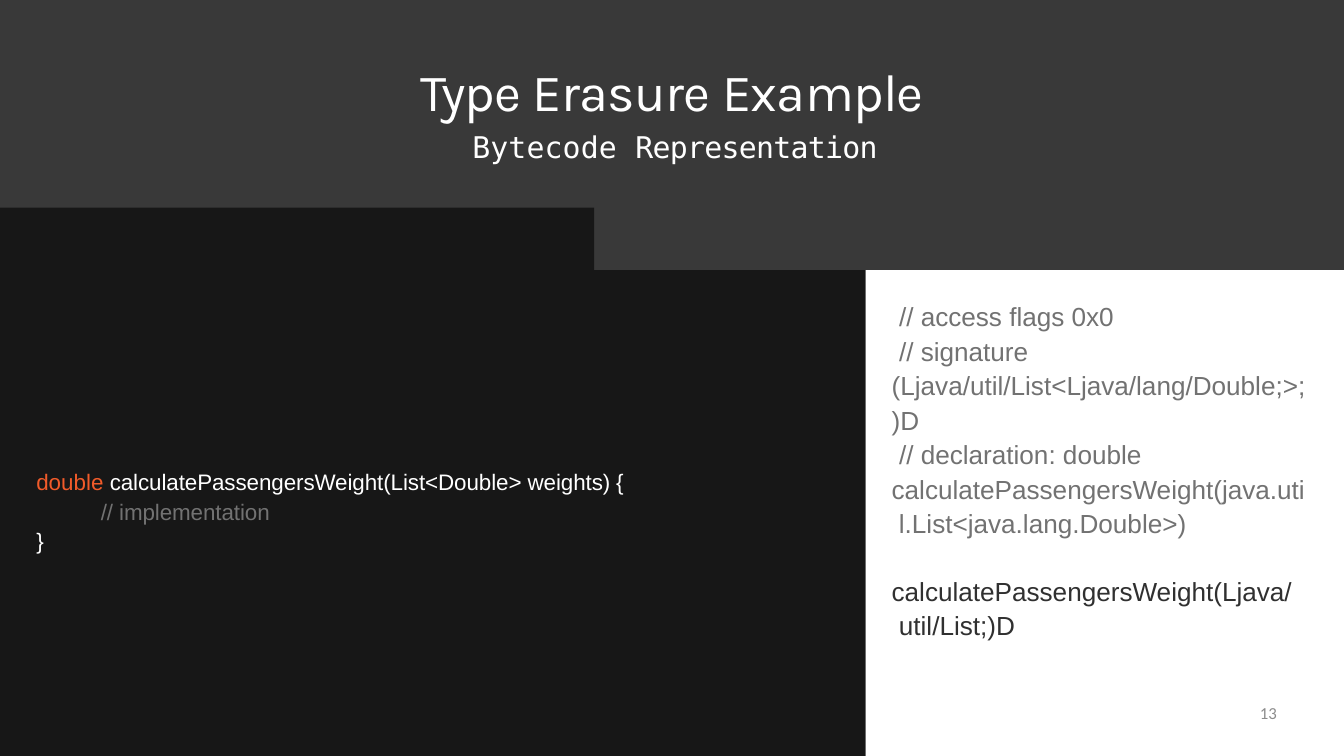
import pptx
import pptx.dml.color
import pptx.enum.shapes
import pptx.enum.text
import pptx.util

EMU_PER_PX = 9144
SLIDE_W, SLIDE_H = 2000, 1125
HEADER_H, TAB_TOP, TAB_W, SPLIT = 402, 309, 884, 1288
ALIGN = pptx.enum.text.PP_ALIGN
COLORS = {
    "header": "393939",
    "code_panel": "171717",
    "white": "FFFFFF",
    "keyword": "F15B2A",
    "comment": "727272",
    "signature": "303030",
    "page": "8C8C8C",
}


def px(length):
    """Turn whole px into EMU."""
    return pptx.util.Emu(length * EMU_PER_PX)


def color(name):
    """Look up a palette colour."""
    return pptx.dml.color.RGBColor.from_string(COLORS[name])


def paint(shape, fill):
    """Give a shape a flat fill without line or shadow."""
    shape.shadow.inherit = False
    shape.fill.solid()
    shape.fill.fore_color.rgb = color(fill)
    shape.line.fill.background()


def add_panel(slide, box, fill):
    """Draw a plain rectangle."""
    rectangle = pptx.enum.shapes.MSO_SHAPE.RECTANGLE
    paint(slide.shapes.add_shape(rectangle, *map(px, box)), fill)


def add_frame(slide, box, inset_top=0):
    """Add a wrapping text box and return its text frame."""
    frame = slide.shapes.add_textbox(*map(px, box)).text_frame
    frame.word_wrap = True
    frame.margin_left = frame.margin_right = frame.margin_bottom = 0
    frame.margin_top = px(inset_top)
    return frame


def add_line(frame, runs, font, size, pitch=None, margin=0, first=0, align=ALIGN.LEFT):
    """Write one paragraph from (text, colour, tracking) runs, breaking at newlines."""
    paragraph = frame.paragraphs[0]
    if paragraph.runs:
        paragraph = frame.add_paragraph()
    paragraph.alignment = align
    if pitch:
        paragraph.line_spacing = pptx.util.Pt(pitch)
    properties = paragraph._p.get_or_add_pPr()
    properties.set("marL", str(px(margin)))
    properties.set("indent", str(px(first)))
    for text, fill, tracking in runs:
        for index, piece in enumerate(text.split("\n")):
            if index:
                paragraph.add_line_break()
            run = paragraph.add_run()
            run.text = piece
            run.font.name = font
            run.font.size = pptx.util.Pt(size)
            run.font.color.rgb = color(fill)
            run._r.get_or_add_rPr().set("spc", str(tracking))


def add_header(slide, box):
    """Place the dark header with title and subtitle."""
    left, top, width, height = box
    add_panel(slide, box, "header")
    frame = add_frame(slide, (left + 471, top + 64, width - 942, 180), 26)
    title = [("Type ", "white", -110), ("Erasure ", "white", -70), ("Example", "white", -80)]
    subtitle = [("Bytecode ", "white", 10), ("Representation", "white", -80)]
    add_line(frame, title, "Karla", 56, 66, align=ALIGN.CENTER)
    add_line(frame, subtitle, "DejaVu Sans Mono", 32, 45, margin=9, align=ALIGN.CENTER)


def add_source_code(slide, box):
    """Place the stepped dark panel with the Java method."""
    left, top, width, height = box
    step = HEADER_H - TAB_TOP
    outline = slide.shapes.build_freeform(px(left), px(top))
    outline.add_line_segments([
        (px(left + x), px(top + y))
        for x, y in [(TAB_W, 0), (TAB_W, step), (width, step), (width, height), (0, height)]
    ])
    paint(outline.convert_to_shape(), "code_panel")
    frame = add_frame(slide, (left + 53, top + 382, 885, 135), 2)
    method = [
        (1, [("double ", "keyword", 0),
             ("calculatePassengersWeight(List<Double> weights) ", "white", -10),
             ("{", "white", 0)]),
        (97, [("// implementation", "comment", -10)]),
        (1, [("}", "white", 0)]),
    ]
    for margin, runs in method:
        add_line(frame, runs, "Arial", 24, 31.6, margin=margin)


def add_bytecode(slide, box):
    """Place the white panel with the bytecode and the page number."""
    left, top, width, height = box
    add_panel(slide, box, "white")
    comments = add_frame(slide, (left + 38, top + 39, 630, 361), 2)
    for first, text in [
        (11, "// access flags 0x0"),
        (11, "// signature\n(Ljava/util/List<Ljava/lang/Double;>;"),
        (0, ")D"),
        (11, "// declaration: double\ncalculatePassengersWeight(java.uti\n l.List<java.lang.Double>)"),
    ]:
        add_line(comments, [(text, "comment", 0)], "Arial", 28, 36.9, 1, first)
    erased = add_frame(slide, (left + 38, top + 449, 630, 105))
    signature = "calculatePassengersWeight(Ljava/\n util/List;)D"
    add_line(erased, [(signature, "signature", 0)], "Arial", 28, 36.9, 1)
    page = add_frame(slide, (left + 152, top + 644, 460, 56))
    add_line(page, [("13", "page", 0)], "Calibri", 18, align=ALIGN.RIGHT)


def main():
    """Build and save the slide."""
    deck = pptx.Presentation()
    deck.slide_width, deck.slide_height = px(SLIDE_W), px(SLIDE_H)
    slide = deck.slides.add_slide(deck.slide_layouts[6])
    add_header(slide, (0, 0, SLIDE_W, SLIDE_H))
    add_source_code(slide, (0, TAB_TOP, SPLIT, SLIDE_H - TAB_TOP))
    add_bytecode(slide, (SPLIT, HEADER_H, SLIDE_W - SPLIT, SLIDE_H - HEADER_H))
    deck.save("out.pptx")


if __name__ == "__main__":
    main()
